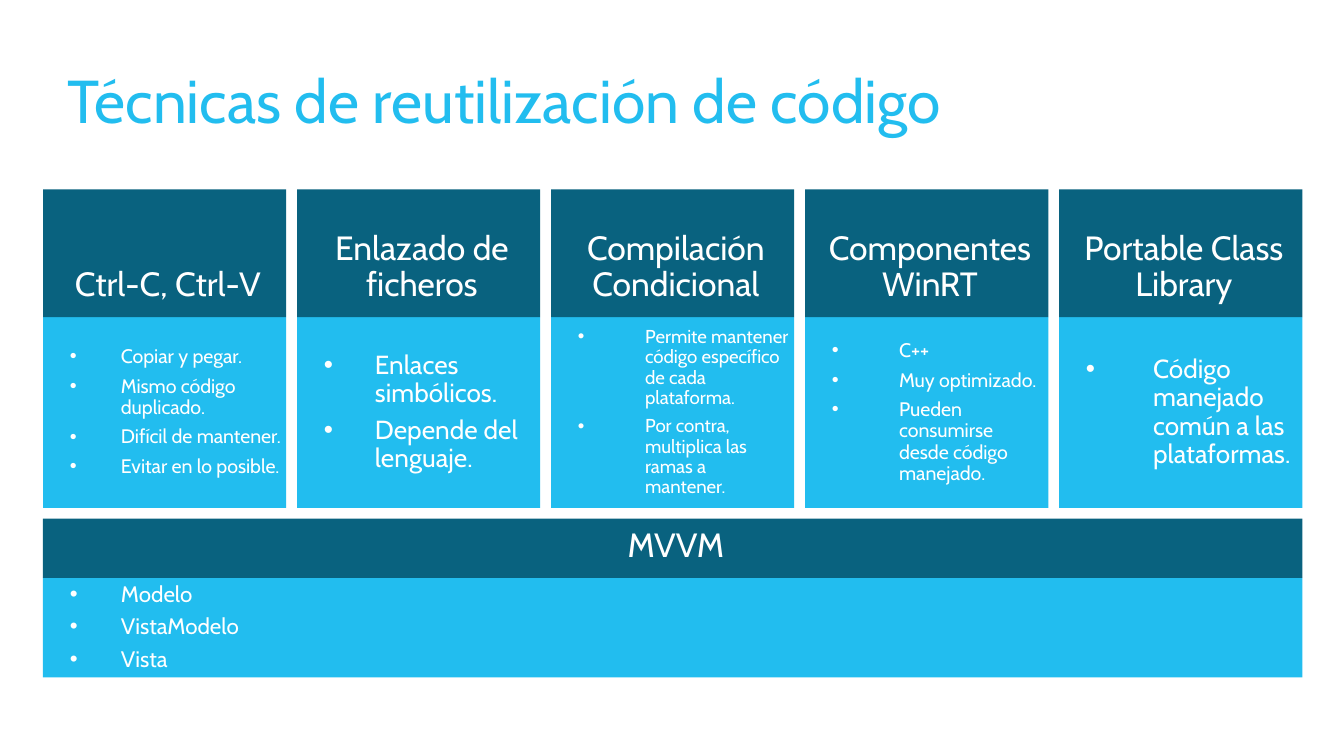
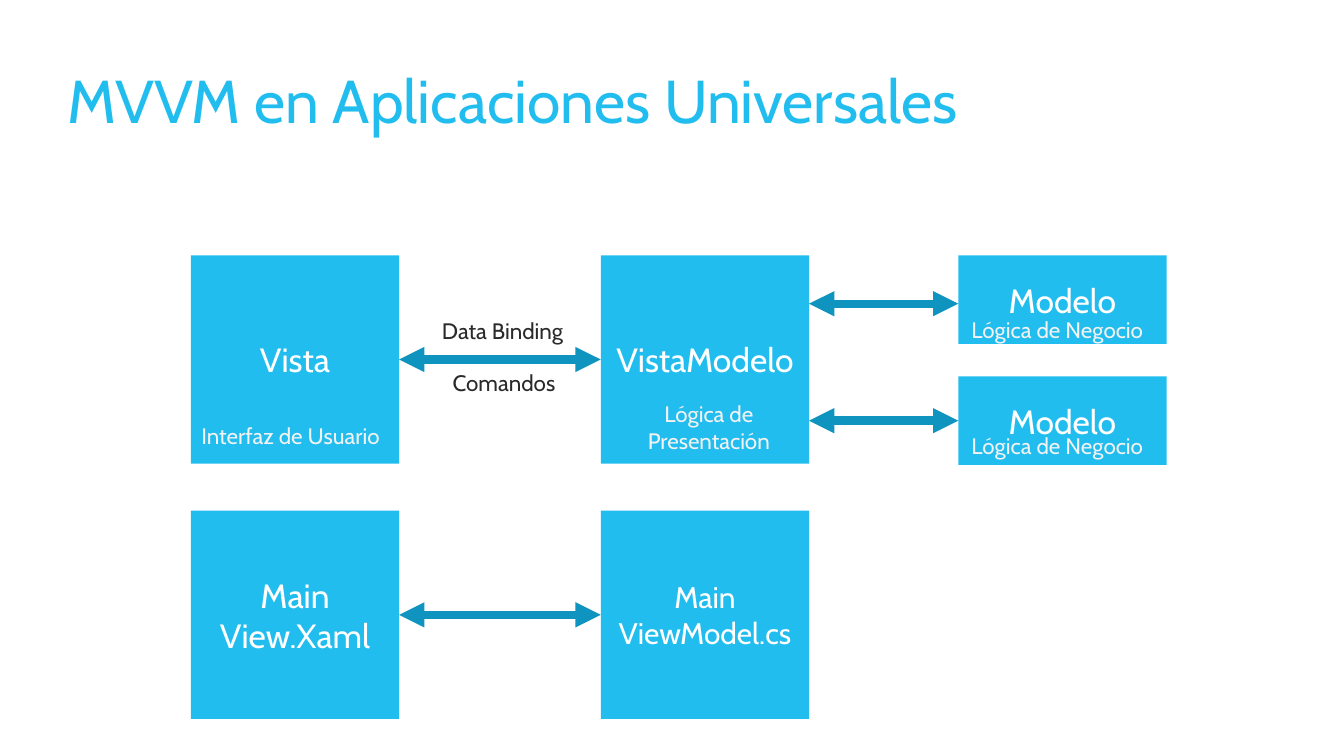
from dataclasses import dataclass

from lxml.etree import SubElement
from pptx import Presentation
from pptx.dml.color import RGBColor as Color
from pptx.enum.shapes import MSO_CONNECTOR as Connector, MSO_SHAPE as Shape
from pptx.enum.text import MSO_ANCHOR as Anchor, MSO_AUTO_SIZE as AutoSize, PP_ALIGN as Align
from pptx.oxml.ns import qn
from pptx.util import Inches, Pt


@dataclass(frozen=True)
class Theme:
    """Colours, typefaces and type sizes shared by the deck."""
    font: str = "Cabin"
    bullet_font: str = "Arial"
    sky: str = "22BDEF"
    deep: str = "09627F"
    arrow: str = "0E94BF"
    white: str = "FFFFFF"
    pale: str = "F2F2F2"
    ink: str = "2A2A2A"
    title: float = 32.4
    heading: float = 18
    file_name: float = 16
    label: float = 12
    arrow_width: float = 4.5


THEME = Theme()
PAGE_WIDTH = 10
TITLE_BOX = (0.5, 0.44, 9, 0.57)
SIDES = ("margin_left", "margin_top", "margin_right", "margin_bottom")

CARDS = [
    ("Ctrl-C, Ctrl-V", 10.5, 0.38,
     ["Copiar y pegar.", "Mismo código duplicado.", "Difícil de mantener.",
      "Evitar en lo posible."]),
    ("Enlazado de ficheros", 14, 0.38, ["Enlaces simbólicos.", "Depende del lenguaje."]),
    ("Compilación Condicional", 10, 0.5,
     ["Permite mantener código específico de cada plataforma.",
      "Por contra, multiplica las ramas a mantener."]),
    ("Componentes WinRT", 10.5, 0.5,
     ["C++", "Muy optimizado.", "Pueden consumirse desde código manejado."]),
    ("Portable Class Library", 14, 0.5, ["Código manejado común a las plataformas."]),
]
MVVM_CARD = ("MVVM", 12, 0.38, ["Modelo", "VistaModelo", "Vista"])


def apply(target, values):
    """Set each named attribute of the target."""
    for name, value in values.items():
        setattr(target, name, value)


def inches(values):
    """Turn a sequence of numbers into lengths."""
    return [Inches(value) for value in values]


def write(frame, lines, size, color, insets=None, para_format=None, frame_format=None):
    """Fill a text frame with one paragraph per line."""
    apply(frame, frame_format or {})
    if insets:
        apply(frame, dict(zip(SIDES, inches(insets))))
    for index, line in enumerate(lines):
        para = frame.add_paragraph() if index else frame.paragraphs[0]
        apply(para, para_format or {})
        span = para.add_run()
        span.text = line
        apply(span.font, {"name": THEME.font, "size": Pt(size)})
        span.font.color.rgb = Color.from_string(color)


def add_bullets(frame, indent):
    """Give every paragraph a hanging round bullet."""
    for para in frame.paragraphs:
        properties = para._p.get_or_add_pPr()
        properties.set("marL", str(Inches(indent)))
        properties.set("indent", str(-Inches(indent)))
        SubElement(properties, qn("a:buFont"), typeface=THEME.bullet_font)
        SubElement(properties, qn("a:buChar"), char="•")


def add_block(shapes, box, fill):
    """Add a flat filled rectangle."""
    block = shapes.add_shape(Shape.RECTANGLE, *inches(box))
    block.shadow.inherit = False
    block.fill.solid()
    block.fill.fore_color.rgb = Color.from_string(fill)
    block.line.fill.background()
    return block


def add_page(deck, title):
    """Add a page with the shared title style."""
    page = deck.slides.add_slide(deck.slide_layouts[5])
    holder = page.shapes.title
    apply(holder, dict(zip(("left", "top", "width", "height"), inches(TITLE_BOX))))
    write(holder.text_frame, [title], THEME.title, THEME.sky, (0, 0, 0, 0),
          {"alignment": Align.LEFT, "line_spacing": 1.05},
          {"word_wrap": True, "vertical_anchor": Anchor.TOP,
           "auto_size": AutoSize.SHAPE_TO_FIT_TEXT})
    return page


def add_card(page, box, head_height, card, top_inset=None):
    """Add a grouped card: bulleted body below a dark heading."""
    left, top, width, height = box
    heading, size, indent, items = card
    group = page.shapes.add_group_shape()
    body = add_block(group.shapes, (left, top + head_height, width, height - head_height),
                     THEME.sky)
    write(body.text_frame, items, size, THEME.white, (0.2, top_inset or 0.05, 0.03, 0.05),
          {"alignment": Align.LEFT, "line_spacing": 0.9, "space_before": Pt(4.5)},
          {"word_wrap": True, "vertical_anchor": Anchor.TOP if top_inset else Anchor.MIDDLE})
    add_bullets(body.text_frame, indent)
    head = add_block(group.shapes, (left, top, width, head_height), THEME.deep)
    write(head.text_frame, [heading], THEME.heading, THEME.white, (0.1, 0.05, 0.05, 0.1),
          {"alignment": Align.CENTER, "line_spacing": 0.9},
          {"word_wrap": True, "vertical_anchor": Anchor.BOTTOM})


def add_node(page, box, lines, size=THEME.heading):
    """Add a diagram box with centred text."""
    node = add_block(page.shapes, box, THEME.sky)
    write(node.text_frame, lines, size, THEME.white, (0.04,) * 4,
          {"alignment": Align.CENTER},
          {"word_wrap": True, "vertical_anchor": Anchor.MIDDLE})
    return node


def add_link(page, start, end, source=None, target=None):
    """Add a two-headed arrow, joined to the nodes given."""
    link = page.shapes.add_connector(Connector.STRAIGHT, *inches(start + end))
    if source:
        link.begin_connect(source, 1)
    if target:
        link.end_connect(target, 3)
    link.line.width = Pt(THEME.arrow_width)
    link.line.color.rgb = Color.from_string(THEME.arrow)
    outline = link.line._get_or_add_ln()
    for tag in ("a:headEnd", "a:tailEnd"):
        SubElement(outline, qn(tag), type="triangle")
    SubElement(link._element.spPr, qn("a:effectLst"))


def add_label(page, box, lines, color, alignment=Align.LEFT):
    """Add a small caption that does not wrap."""
    label = page.shapes.add_textbox(*inches(box))
    write(label.text_frame, lines, THEME.label, color,
          para_format={"alignment": alignment},
          frame_format={"word_wrap": False, "auto_size": AutoSize.SHAPE_TO_FIT_TEXT})


def build_techniques(deck):
    """Build the page of reuse techniques."""
    page = add_page(deck, "Técnicas de reutilización de código")
    left, top, width, pitch = 0.32, 1.41, 1.81, 1.89
    for column, card in enumerate(CARDS):
        add_card(page, (left + column * pitch, top, width, 2.37), 0.95, card,
                 None if column else 0.22)
    add_card(page, (left, 3.86, 4 * pitch + width, 1.18), 0.44, MVVM_CARD)


def build_diagram(deck):
    """Build the page with the MVVM diagram."""
    page = add_page(deck, "MVVM en Aplicaciones Universales")
    side, model_height = 1.55, 0.66
    view_left, view_model_left, model_left = 1.42, 4.47, 7.13
    rows = [
        (1.9, ["Vista"], ["VistaModelo"], THEME.heading),
        (3.8, ["Main", "View.Xaml"], ["Main", "ViewModel.cs"], THEME.file_name),
    ]
    for top, view_lines, view_model_lines, size in rows:
        view = add_node(page, (view_left, top, side, side), view_lines)
        view_model = add_node(page, (view_model_left, top, side, side), view_model_lines, size)
        middle = top + side / 2
        add_link(page, (view_model_left, middle), (view_left + side, middle), view_model, view)

    for top, link_top, label_top, joined in ((1.9, 2.26, 2.3, False), (2.8, 3.13, 3.17, True)):
        model = add_node(page, (model_left, top, side, model_height), ["Modelo"])
        add_link(page, (model_left, link_top), (view_model_left + side, link_top),
                 model if joined else None)
        add_label(page, (model_left, label_top, 1.58, 0.3), ["Lógica de Negocio"], THEME.pale)

    add_label(page, (3.19, 2.31, 1.17, 0.3), ["Data Binding"], THEME.ink)
    add_label(page, (3.27, 2.7, 0.99, 0.3), ["Comandos"], THEME.ink)
    add_label(page, (1.4, 3.09, 1.63, 0.3), ["Interfaz de Usuario"], THEME.pale)
    add_label(page, (4.69, 2.93, 1.17, 0.5), ["Lógica de", "Presentación"], THEME.pale,
              Align.CENTER)


def main():
    """Build and save the deck."""
    deck = Presentation()
    apply(deck, {"slide_width": Inches(PAGE_WIDTH), "slide_height": Inches(PAGE_WIDTH * 9 / 16)})
    build_techniques(deck)
    build_diagram(deck)
    deck.save("out.pptx")


if __name__ == "__main__":
    main()
